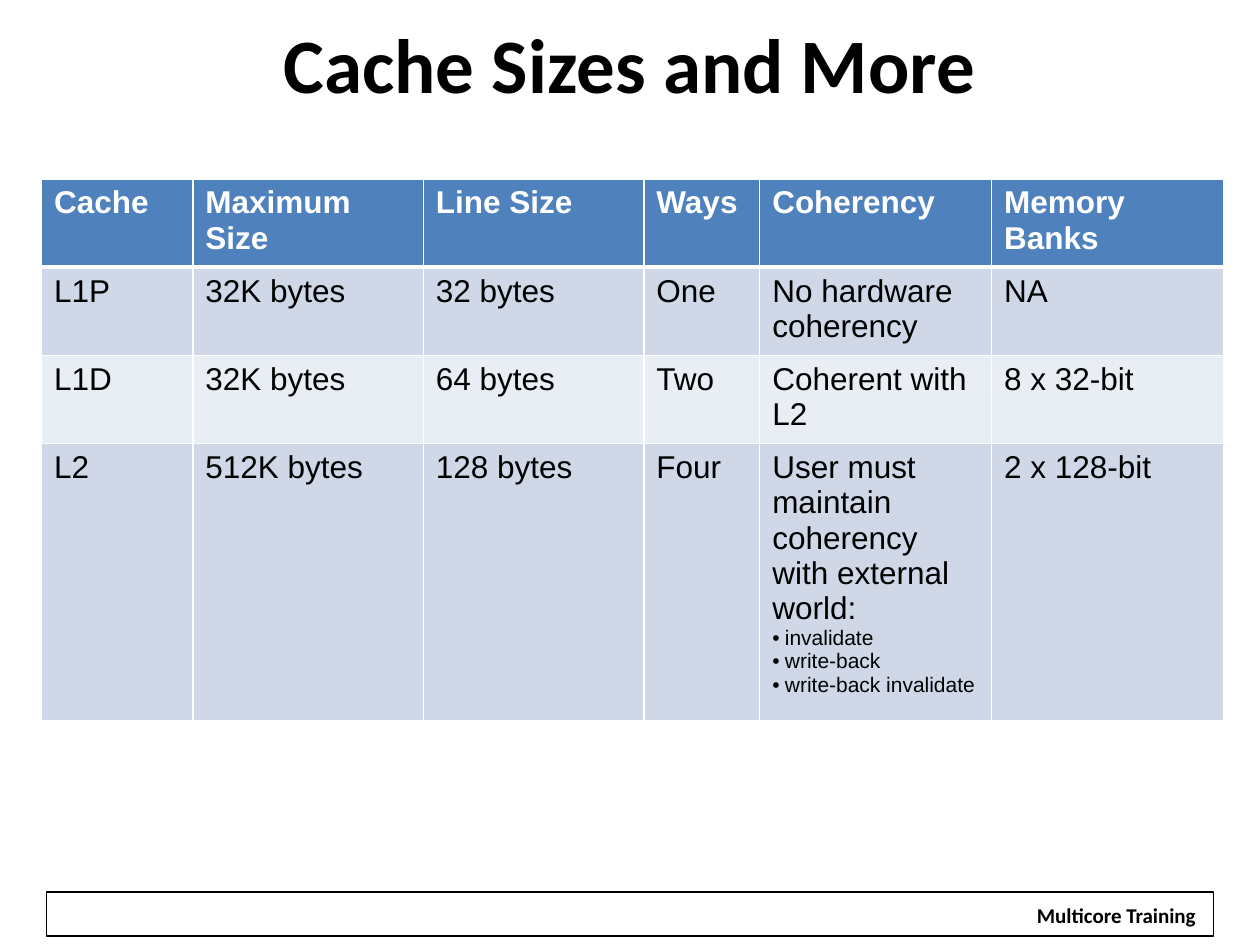
from pptx import Presentation
from pptx.dml.color import RGBColor
from pptx.enum.shapes import MSO_SHAPE
from pptx.enum.text import MSO_ANCHOR, PP_ALIGN
from pptx.oxml.ns import qn
from pptx.util import Inches, Pt
from lxml.etree import SubElement

BLACK = RGBColor(0x00, 0x00, 0x00)
WHITE = RGBColor(0xFF, 0xFF, 0xFF)
HEADER_BLUE = RGBColor(0x4F, 0x81, 0xBD)
BAND_DARK = RGBColor(0xD0, 0xD8, 0xE8)
BAND_LIGHT = RGBColor(0xE9, 0xED, 0xF4)

COLUMN_WIDTHS = [1.2, 1.83, 1.75, 0.92, 1.84, 1.84]
ROW_HEIGHTS = [0.66, 0.66, 0.66, 2.06]
ROWS = [
    ["Cache", "Maximum Size", "Line Size", "Ways", "Coherency", "Memory Banks"],
    ["L1P", "32K bytes", "32 bytes", "One", "No hardware coherency", "NA"],
    ["L1D", "32K bytes", "64 bytes", "Two", "Coherent with L2", "8 x 32-bit"],
    ["L2", "512K bytes", "128 bytes", "Four",
     "User must maintain coherency with external world:", "2 x 128-bit"],
]
COHERENCY_ACTIONS = ["invalidate", "write-back", "write-back invalidate"]


def style_font(font, name, size, color, bold):
    font.name = name
    font.size = Pt(size)
    font.color.rgb = color
    font.bold = bold


def set_borders(cell, bottom_width):
    properties = cell._tc.get_or_add_tcPr()
    widths = {"a:lnL": 1, "a:lnR": 1, "a:lnT": 1, "a:lnB": bottom_width}
    for position, (tag, width) in enumerate(widths.items()):
        line = SubElement(properties, qn(tag), w=str(Pt(width)))
        fill = SubElement(line, qn("a:solidFill"))
        SubElement(fill, qn("a:srgbClr"), val=str(WHITE))
        properties.insert(position, line)


presentation = Presentation()
presentation.slide_width = Inches(10)
presentation.slide_height = Inches(7.5)
slide = presentation.slides.add_slide(presentation.slide_layouts[6])

# Footer frame and label
frame = slide.shapes.add_shape(
    MSO_SHAPE.RECTANGLE, Inches(0.37), Inches(7.08), Inches(9.26), Inches(0.35))
frame.shadow.inherit = False
frame.fill.background()
frame.line.color.rgb = BLACK
frame.line.width = Pt(0.75)

label = slide.shapes.add_shape(
    MSO_SHAPE.RECTANGLE, Inches(8.12), Inches(7.11), Inches(1.48), Inches(0.3))
label.shadow.inherit = False
label.fill.solid()
label.fill.fore_color.rgb = WHITE
label.line.fill.background()
label.text_frame.word_wrap = False
label.text_frame.text = "Multicore Training"
paragraph = label.text_frame.paragraphs[0]
paragraph.alignment = PP_ALIGN.CENTER
style_font(paragraph.runs[0].font, "Calibri", 12, BLACK, True)

# Title
title = slide.shapes.add_textbox(Inches(0.5), Inches(0.08), Inches(9), Inches(0.83))
title.text_frame.word_wrap = True
title.text_frame.vertical_anchor = MSO_ANCHOR.MIDDLE
title.text_frame.text = "Cache Sizes and More"
paragraph = title.text_frame.paragraphs[0]
paragraph.alignment = PP_ALIGN.CENTER
style_font(paragraph.runs[0].font, "Calibri", 44, BLACK, True)

# Cache table
table = slide.shapes.add_table(
    len(ROWS), len(COLUMN_WIDTHS), Inches(0.33), Inches(1.42),
    Inches(sum(COLUMN_WIDTHS)), Inches(sum(ROW_HEIGHTS))).table
for column, width in zip(table.columns, COLUMN_WIDTHS):
    column.width = Inches(width)
for row_index, texts in enumerate(ROWS):
    table.rows[row_index].height = Inches(ROW_HEIGHTS[row_index])
    is_header = row_index == 0
    band = BAND_DARK if row_index % 2 else BAND_LIGHT
    for column_index, text in enumerate(texts):
        cell = table.cell(row_index, column_index)
        cell.fill.solid()
        cell.fill.fore_color.rgb = HEADER_BLUE if is_header else band
        set_borders(cell, 3 if row_index == 0 else 1)
        cell.text_frame.text = text
        style_font(cell.text_frame.paragraphs[0].runs[0].font, "Arial", 18,
                   WHITE if is_header else BLACK, is_header)

# Bulleted actions under the L2 coherency note
note = table.cell(3, 4).text_frame
for action in COHERENCY_ACTIONS:
    paragraph = note.add_paragraph()
    paragraph.text = action
    properties = paragraph._p.get_or_add_pPr()
    properties.set("marL", str(Inches(0.1)))
    properties.set("indent", str(-Inches(0.1)))
    SubElement(properties, qn("a:buFont"), typeface="Arial")
    SubElement(properties, qn("a:buChar"), char="•")
    style_font(paragraph.runs[0].font, "Arial", 12, BLACK, False)

presentation.save("out.pptx")
